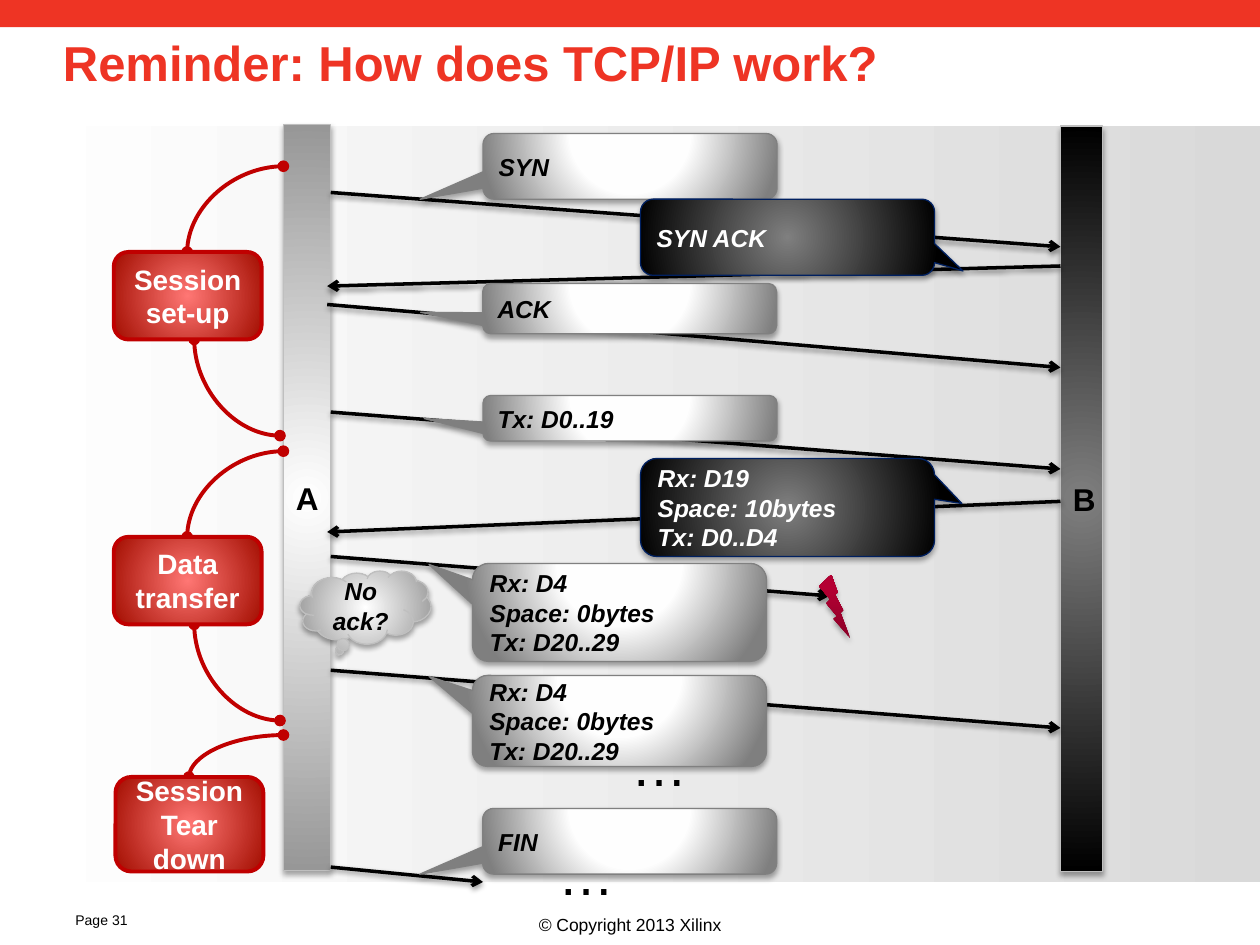
from lxml import etree
from pptx import Presentation
from pptx.dml.color import RGBColor
from pptx.enum import shapes, text
from pptx.oxml import parse_xml
from pptx.oxml.ns import nsdecls, qn
from pptx.util import Pt

COLOURS = {"black": "000000", "white": "FFFFFF", "banner": "EE3424", "red": "C00000",
           "silver": "BFBFBF", "grey": "808080", "navy": "002060"}
CENTRE = 'l="50000" t="50000" r="50000" b="50000"'
ABOVE = 'l="50000" t="-80000" r="50000" b="180000"'
RADIAL = '<a:path path="circle"><a:fillToRect {}/></a:path>'
LINEAR = '<a:lin ang="{}" scaled="0"/>'
GRADIENTS = {
    "backdrop": ([(0, "FFFFFF"), (100, "D9D9D9")], LINEAR.format(0)),
    "bolt": ([(0, "8B0027"), (80, "B40033"), (100, "B50033")], LINEAR.format(16200000)),
    "silver": ([(0, "FFFFFF"), (100, "979797")], RADIAL.format(CENTRE)),
    "dark": ([(0, "7F7F7F"), (100, "000000")], RADIAL.format(CENTRE)),
    "light": ([(0, "FFFFFF"), (40, "FEFEFE"), (100, "7F7F7F")], RADIAL.format(ABOVE)),
    "red": ([(0, "FF7774"), (100, "A20D00")], RADIAL.format(CENTRE)),
}
SHADOW = ('<a:outerShdw {} blurRad="39370" dist="{}" dir="5400000" rotWithShape="0">'
          '<a:srgbClr val="000000"><a:alpha val="{}000"/></a:srgbClr></a:outerShdw>')
SHAPE = shapes.MSO_SHAPE
CENTER = text.PP_ALIGN.CENTER
MIDDLE = text.MSO_ANCHOR.MIDDLE

presentation = Presentation()
presentation.slide_width = Pt(720)
presentation.slide_height = Pt(540)
slide = presentation.slides.add_slide(presentation.slide_layouts[6])


def add_block(kind, box, gradient, outline=None, width=0.75, shadow=True):
    shape = slide.shapes.add_shape(kind, *map(Pt, box))
    shape.fill.background()
    stops, direction = GRADIENTS[gradient]
    stop_xml = "".join(f'<a:gs pos="{position * 1000}"><a:srgbClr val="{colour}"/></a:gs>'
                       for position, colour in stops)
    properties = shape.element.spPr
    properties.replace(properties.find(qn("a:noFill")), parse_xml(
        f'<a:gradFill {nsdecls("a")} rotWithShape="1"><a:gsLst>{stop_xml}</a:gsLst>'
        f'{direction}</a:gradFill>'))
    if outline:
        shape.line.color.rgb = RGBColor.from_string(COLOURS[outline])
        shape.line.width = Pt(width)
    else:
        shape.line.fill.background()
    shape.shadow.inherit = False
    if shadow:
        properties.find(qn("a:effectLst")).append(
            parse_xml(SHADOW.format(nsdecls("a"), 22860, 35)))
    return shape


def write(shape, wording, size, colour="black", align=None, anchor=None,
          bold=False, italic=False, wrap=True):
    frame = shape.text_frame
    frame.text = wording
    frame.word_wrap = wrap
    frame.vertical_anchor = anchor or text.MSO_ANCHOR.TOP
    for paragraph in frame.paragraphs:
        paragraph.alignment = align or text.PP_ALIGN.LEFT
        for run in paragraph.runs:
            run.font.name = "Arial"
            run.font.size = Pt(size)
            run.font.bold = bold
            run.font.italic = italic
            run.font.color.rgb = RGBColor.from_string(COLOURS[colour])


banner = slide.shapes.add_shape(SHAPE.RECTANGLE, 0, 0, Pt(720), Pt(15.6))
banner.fill.solid()
banner.fill.fore_color.rgb = RGBColor.from_string(COLOURS["banner"])
banner.line.fill.background()
banner.shadow.inherit = False

add_block(SHAPE.RECTANGLE, (12, 72, 708, 432), "backdrop", shadow=False)

title = slide.shapes.add_textbox(Pt(36), Pt(16.5), Pt(648), Pt(90))
write(title, "Reminder: How does TCP/IP work?", 28, "banner", bold=True)
title.text_frame.margin_left = 0
title.text_frame.paragraphs[0].line_spacing = 0.98

page_number = slide.shapes.add_textbox(Pt(36), Pt(517.5), Pt(66), Pt(19.5))
write(page_number, "Page 31", 8)
copyright_line = slide.shapes.add_textbox(0, Pt(519), Pt(720), Pt(23))
write(copyright_line, "© Copyright 2013 Xilinx", 10, align=CENTER)

for name, box, gradient in [("A", (162, 71.3, 27, 426.2), "silver"),
                            ("B", (606, 72, 24, 426), "dark")]:
    host = add_block(SHAPE.RECTANGLE, box, gradient, "silver")
    write(host, name, 18, align=CENTER, anchor=MIDDLE, bold=True)

straight, curve = shapes.MSO_CONNECTOR.STRAIGHT, shapes.MSO_CONNECTOR.CURVE
messages = [(189, 110, 606, 141), (606, 152, 187, 163.5), (187, 174, 606, 210),
            (189, 235.5, 606, 268), (606, 286.5, 187, 304), (189, 318, 474, 340.5),
            (189, 383, 606, 416), (189, 495.5, 276, 504)]
brackets = [(162, 95, 107, 144), (160, 249, 111, 194), (162, 257.8, 107, 306.8),
            (160, 411.8, 111, 356.8), (162, 420, 108, 444)]
connectors = ([(straight, ends, "black", 2) for ends in messages]
              + [(curve, ends, "red", 2.25) for ends in brackets])
for kind, ends, colour, width in connectors:
    connector = slide.shapes.add_connector(kind, *map(Pt, ends))
    connector.line.color.rgb = RGBColor.from_string(COLOURS[colour])
    connector.line.width = Pt(width)
    properties = connector.element.spPr
    line = properties.find(qn("a:ln"))
    effects = etree.SubElement(properties, qn("a:effectLst"))
    if kind == curve:
        properties.find(qn("a:prstGeom")).set("prst", "curvedConnector2")
        etree.SubElement(line, qn("a:headEnd"), type="oval")
        etree.SubElement(line, qn("a:tailEnd"), type="oval")
    else:
        etree.SubElement(line, qn("a:tailEnd"), type="arrow")
        effects.append(parse_xml(SHADOW.format(nsdecls("a"), 20320, 38)))

for left, top in [(354, 414), (311.8, 476)]:
    ellipsis = slide.shapes.add_textbox(Pt(left), Pt(top), Pt(46.8), Pt(46))
    write(ellipsis, "…", 32, wrap=False)

add_block(SHAPE.LIGHTNING_BOLT, (468, 328.3, 18, 36.7), "bolt")
cloud = add_block(SHAPE.CLOUD_CALLOUT, (171.4, 326.2, 74.9, 41.8), "silver", "silver")
write(cloud, "No ack?", 14, align=CENTER, anchor=MIDDLE, bold=True, italic=True)

resend = "Rx: D4\nSpace: 0bytes\nTx: D20..29"
callouts = [
    ("SYN", 276, 76.3, 37.5, "light", -0.714, 0.502),
    ("SYN ACK", 366, 113.8, 43.5, "dark", 0.597, 0.443),
    ("ACK", 275.8, 162, 28.8, "light", -0.711, 0.072),
    ("Tx: D0..19", 276, 226, 26, "light", -0.7, 0.007),
    ("Rx: D19\nSpace: 10bytes\nTx: D0..D4", 366, 262, 56, "dark", 0.593, -0.04),
    (resend, 270, 322, 56, "light", -0.648, -0.489),
    (resend, 270, 386, 52, "light", -0.648, -0.489),
    ("FIN", 275.8, 462, 37.5, "light", -0.714, 0.502),
]
for wording, left, top, height, gradient, tip_x, tip_y in callouts:
    dark = gradient == "dark"
    callout = add_block(SHAPE.ROUNDED_RECTANGULAR_CALLOUT, (left, top, 168, height),
                        gradient, "navy" if dark else "grey")
    callout.adjustments[0] = tip_x
    callout.adjustments[1] = tip_y
    write(callout, wording, 14, "white" if dark else "black", anchor=MIDDLE,
          bold=True, italic=True)

for wording, left, top, height in [("Session\nset-up", 65, 144, 50),
                                   ("Data\ntransfer", 65, 306.8, 50),
                                   ("Session\nTear down", 66, 444, 54)]:
    phase = add_block(SHAPE.ROUNDED_RECTANGLE, (left, top, 84.5, height), "red",
                      "red", 2.25, shadow=False)
    write(phase, wording, 16, "white", CENTER, MIDDLE, bold=True)

presentation.save("out.pptx")
